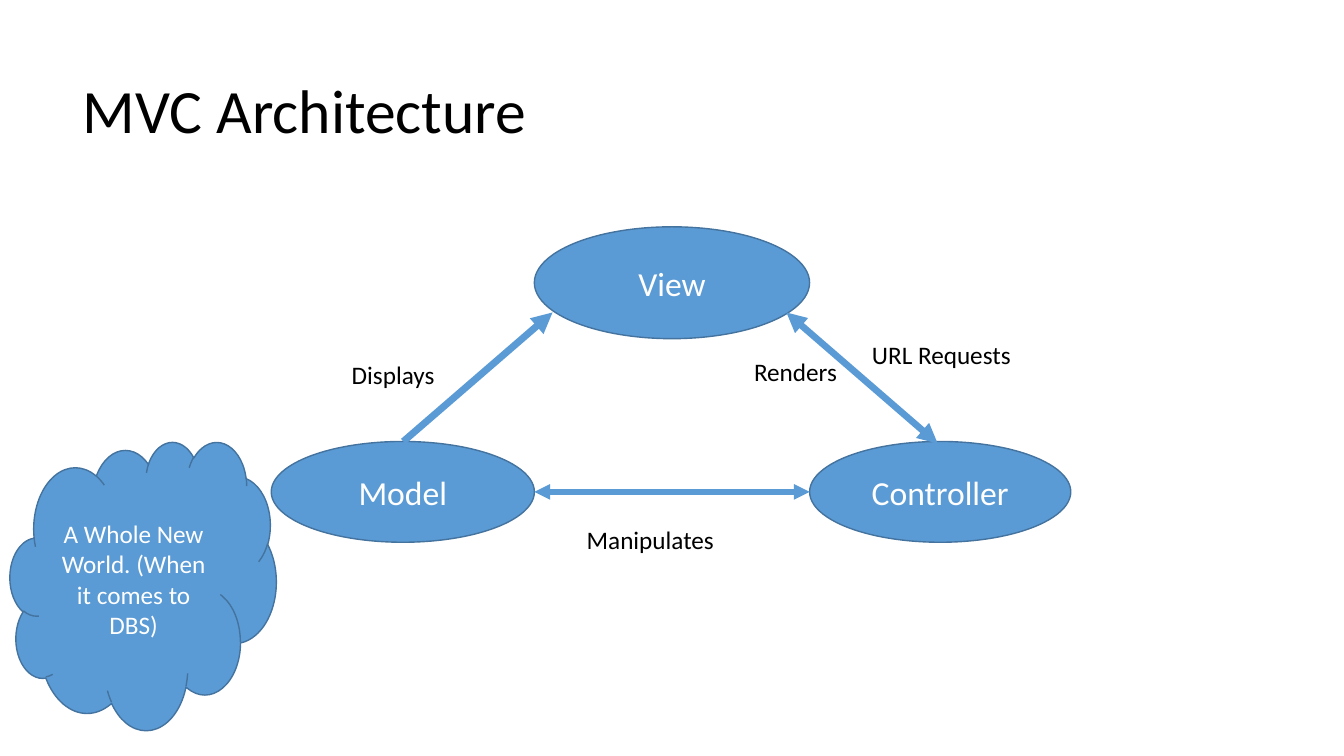
from lxml import etree
from pptx import Presentation
from pptx.dml.color import RGBColor
from pptx.enum.shapes import MSO_CONNECTOR, MSO_SHAPE
from pptx.enum.text import MSO_ANCHOR, PP_ALIGN
from pptx.oxml.ns import qn
from pptx.util import Pt

PX = 9144
OVAL, CLOUD = MSO_SHAPE.OVAL, MSO_SHAPE.CLOUD
STRAIGHT = MSO_CONNECTOR.STRAIGHT
MIDDLE, TOP = MSO_ANCHOR.MIDDLE, MSO_ANCHOR.TOP
LEFT, CENTER = PP_ALIGN.LEFT, PP_ALIGN.CENTER


def px(*values):
    return [v * PX for v in values]


def rgb(color):
    return RGBColor.from_string(color)


def write(tf, text, size=18, color="000000", font="Calibri",
          align=LEFT, anchor=TOP, spacing=1.0):
    tf.word_wrap = True
    tf.vertical_anchor = anchor
    p = tf.paragraphs[0]
    p.alignment = align
    p.line_spacing = spacing
    r = p.add_run()
    r.text = text
    r.font.name = font
    r.font.size = Pt(size)
    r.font.color.rgb = rgb(color)


class Diagram:
    fill = "5B9BD5"
    outline = "43739E"

    def __init__(self, prs):
        self.s = prs.slides.add_slide(prs.slide_layouts[5])

    def title(self, text, *box):
        sp = self.s.shapes.title
        sp.left, sp.top, sp.width, sp.height = px(*box)
        write(sp.text_frame, text, size=44, anchor=MIDDLE, spacing=0.9)

    def node(self, text, *box, kind=OVAL, size=24):
        sp = self.s.shapes.add_shape(kind, *px(*box))
        sp.shadow.inherit = False
        sp.fill.solid()
        sp.fill.fore_color.rgb = rgb(self.fill)
        sp.line.color.rgb = rgb(self.outline)
        sp.line.width = Pt(1)
        write(sp.text_frame, text, size=size, color="FFFFFF",
              align=CENTER, anchor=MIDDLE)

    def label(self, text, *box):
        sp = self.s.shapes.add_textbox(*px(*box))
        write(sp.text_frame, text)

    def arrow(self, *ends, width, both=True):
        c = self.s.shapes.add_connector(STRAIGHT, *px(*ends))
        c.line.color.rgb = rgb(self.fill)
        c.line.width = Pt(width)
        ln = c.line._get_or_add_ln()
        for tag in ("a:headEnd", "a:tailEnd") if both else ("a:tailEnd",):
            etree.SubElement(ln, qn(tag), type="triangle")
        etree.SubElement(c._element.spPr, qn("a:effectLst"))


def main():
    prs = Presentation()
    prs.slide_width, prs.slide_height = px(1333, 750)
    d = Diagram(prs)
    d.title("MVC Architecture", 72, 40, 1150, 145)
    d.node("View", 530, 225, 273, 111)
    d.node("Model", 269, 438, 261, 100)
    d.node("Controller", 803, 438, 259, 100)
    d.arrow(780, 310, 930, 440, width=4.75)
    d.arrow(803, 488, 530, 488, width=3.75)
    d.arrow(400, 438, 548, 310, width=5, both=False)
    d.label("URL Requests", 855, 332, 180, 40)
    d.label("Renders", 738, 349, 118, 40)
    d.label("Manipulates", 572, 515, 189, 40)
    d.label("Displays", 339, 352, 121, 40)
    d.node("A Whole New World. (When it comes to DBS)",
           10, 438, 264, 286, kind=CLOUD, size=18)
    prs.save("out.pptx")


if __name__ == "__main__":
    main()
